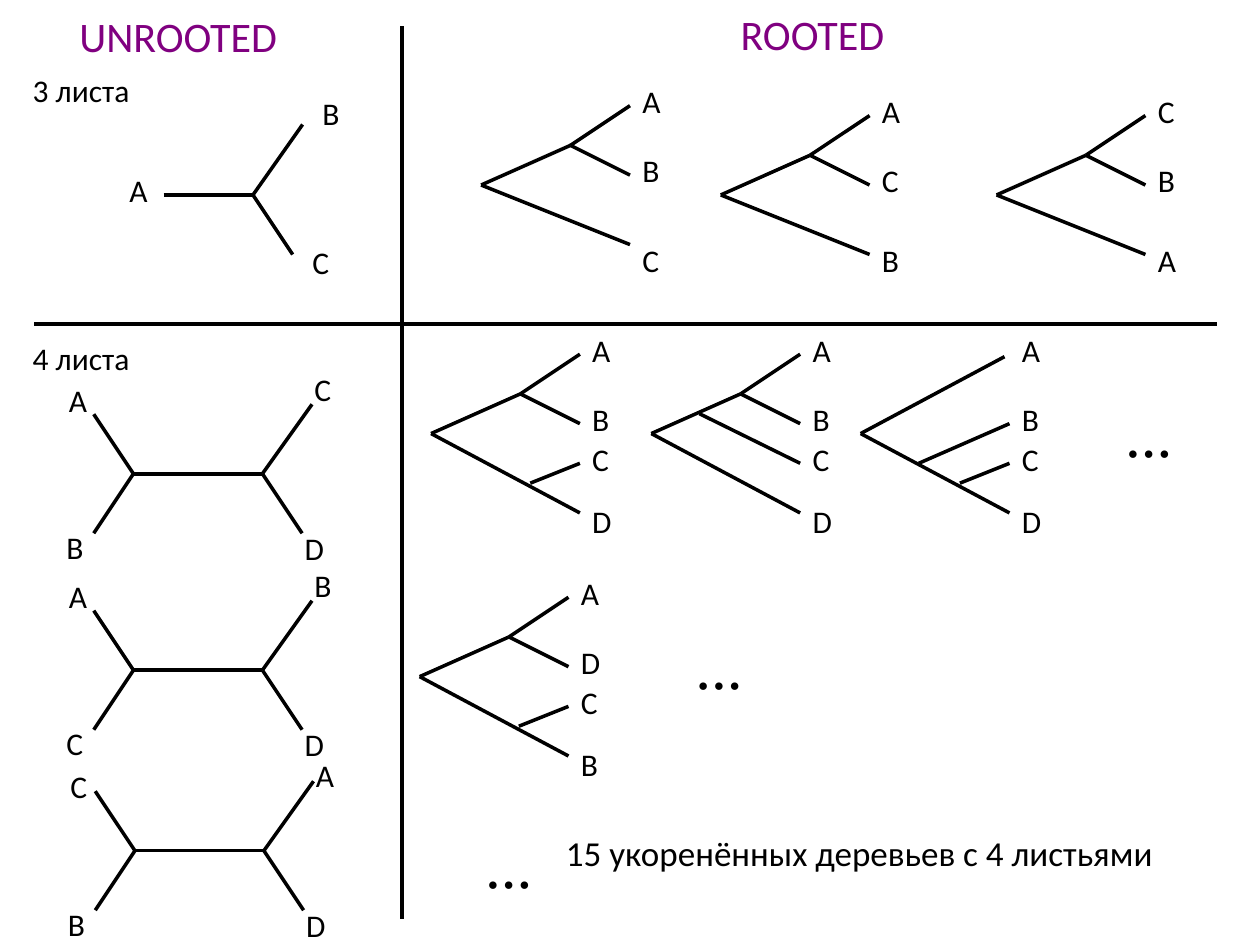
from lxml import etree
from pptx import Presentation
from pptx.dml.color import RGBColor
from pptx.enum.shapes import MSO_CONNECTOR
from pptx.oxml.ns import qn
from pptx.util import Cm, Pt

STRAIGHT = MSO_CONNECTOR.STRAIGHT
BLACK = RGBColor(0x00, 0x00, 0x00)
PURPLE = RGBColor(0x80, 0x00, 0x80)

deck = Presentation()
deck.slide_width, deck.slide_height = Cm(25.4), Cm(19.05)
slide = deck.slides.add_slide(deck.slide_layouts[6])
shapes = slide.shapes


def write(text, x, y, w=0.96, h=1.02, size=18, font="Calibri", color=BLACK, before=0):
    """Add one line of text in a box, with lengths in centimetres."""
    box = shapes.add_textbox(Cm(x), Cm(y), Cm(w), Cm(h))
    box.text_frame.word_wrap = True
    para = box.text_frame.paragraphs[0]
    para.space_before = Pt(before)
    run = para.add_run()
    run.text = text
    run.font.size = Pt(size)
    run.font.name = font
    run.font.color.rgb = color


def draw(lines, x=0, y=0):
    """Draw black lines given as (x1, y1, x2, y2), moved by x and y."""
    for x1, y1, x2, y2 in lines:
        line = shapes.add_connector(STRAIGHT, Cm(x + x1), Cm(y + y1), Cm(x + x2), Cm(y + y2))
        line.line.color.rgb = BLACK
        line.line.width = Pt(2)
        etree.SubElement(line._element.spPr, qn("a:effectLst"))


# Dividers and headings
draw([(0.69, 6.53, 24.54, 6.53), (8.1, 0.53, 8.1, 18.52)])
write("UNROOTED", 1.35, 0.08, w=5.36, h=1.27, size=24, color=PURPLE)
write("ROOTED", 14.68, 0.05, w=4.14, h=1.27, size=24, color=PURPLE)
write("3 листа", 0.41, 1.3, w=2.72)
write("4 листа", 0.41, 6.71, w=2.72)

# Unrooted tree with three leaves
draw([(-1.8, 0, 0, 0), (0, 0, 1, -1.42), (0, 0, 0.8, 1.2)], 5.1, 3.93)
for leaf, x, y in [("A", 2.36, 3.33), ("B", 6.25, 1.78), ("C", 6.05, 4.78)]:
    write(leaf, x, y)

# Unrooted trees with four leaves: names run NW, SW, NE, SE
quartet = [
    (0, 0, 2.6, 0),
    (2.6, 0, 3.6, -1.4),
    (2.6, 0, 3.4, 1.2),
    (0, 0, -0.8, -1.2),
    (0, 0, -0.8, 1.2),
]
corners = [(-1.55, -2), (-1.6, 0.97), (3.4, -2.22), (3.2, 0.98)]
for names, x, y, drop in [
    ("ABCD", 2.69, 9.55, 0),
    ("ACBD", 2.69, 13.51, 0),
    ("CBAD", 2.72, 17.15, 0.18),
]:
    draw(quartet, x, y)
    for leaf, (dx, dy) in zip(names, corners):
        write(leaf, x + dx, y + dy + (drop if dy < 0 else 0))

# Rooted trees: lines start from the root, names run from top to bottom
fork = [(3, -1.6, 1.8, -0.8), (1.8, -0.8, 3, -0.2), (1.8, -0.8, 0, 0)]
base = [(0, 0, 3, 1.6)]
twig = [(2, 1, 3, 0.6)]
three = fork + [(0, 0, 3, 1.2)]
pairs = fork + base + twig
comb = fork + base + [(0.97, -0.4, 3, 0.6)]
low = [(1.17, 0.6, 3, -0.2), (2.9, -1.55, 0, 0)] + base + twig
tops = [-2.2, -0.8, 0, 1.25]
for names, lines, x, y, levels in [
    ("ABC", three, 9.7, 3.73, [-2.2, -0.8, 1]),
    ("ACB", three, 14.53, 3.93, [-2.2, -0.8, 0.8]),
    ("CBA", three, 20.09, 3.93, [-2.2, -0.8, 0.8]),
    ("ABCD", pairs, 8.69, 8.74, tops),
    ("ABCD", comb, 13.13, 8.74, tops),
    ("ABCD", low, 17.35, 8.74, tops),
    ("ADCB", pairs, 8.46, 13.64, tops),
]:
    draw(lines, x, y)
    for leaf, dy in zip(names, levels):
        write(leaf, x + 3, y + dy)

# Ellipses and the count
for x, y in [(22.43, 7.82), (13.77, 12.5), (9.53, 16.51)]:
    write("...", x, y, w=1.47, h=1.78, size=36, font="Times New Roman", before=4)
write("15 укоренённых деревьев с 4 листьями", 11.16, 16.64, w=14.2, h=1.09, size=20)

deck.save("out.pptx")
